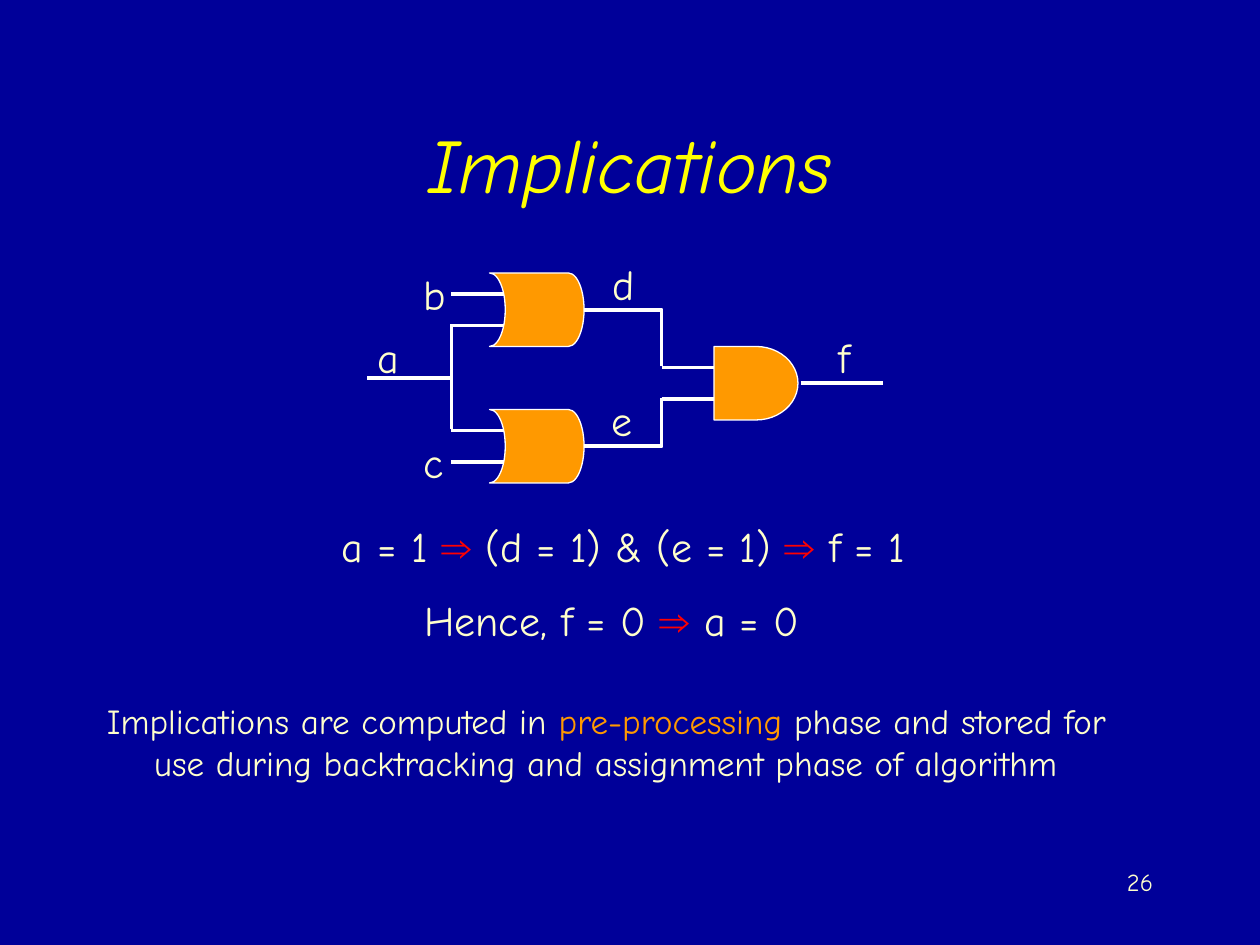
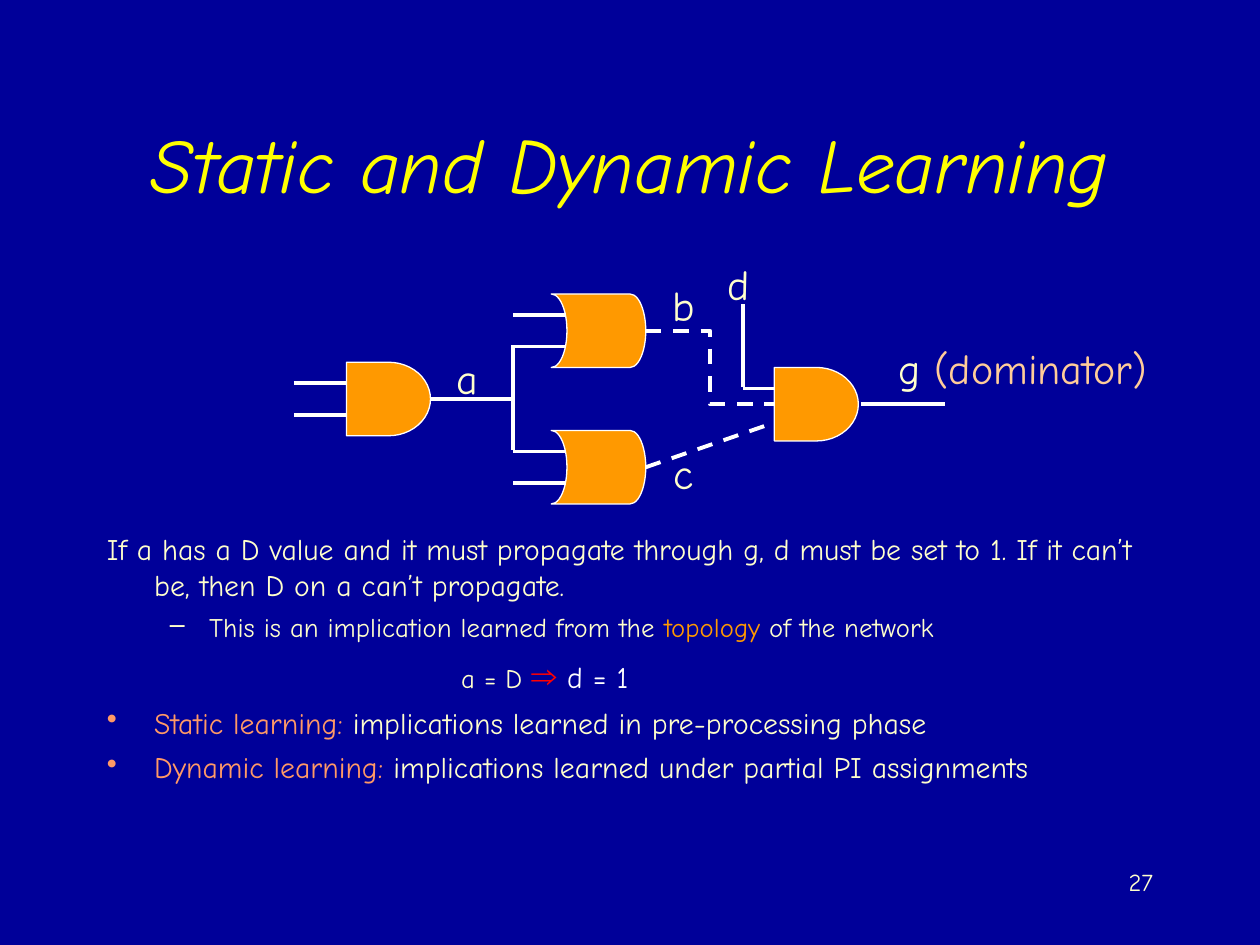
"""Builds two slides on implications and learning in logic circuits."""
from lxml.etree import SubElement
from pptx import Presentation
from pptx.dml.color import RGBColor
from pptx.enum.dml import MSO_LINE
from pptx.enum.shapes import MSO_CONNECTOR, MSO_SHAPE
from pptx.enum.text import MSO_ANCHOR, PP_ALIGN
from pptx.oxml.ns import qn
from pptx.util import Pt

PX = 9525
TITLE_ONLY = 5
FONT = "Comic Neue"
SYMBOL_FONT = "Arial"
COLORS = {
    "background": "000099",
    "title": "FFFF00",
    "text": "FFFFCC",
    "white": "FFFFFF",
    "gate": "FF9900",
    "arrow": "FF0000",
    "term": "FF9966",
    "note": "FFCC99",
}


def color(name):
    return RGBColor.from_string(COLORS[name])


class Deck:
    def __init__(self):
        self.presentation = Presentation()
        self.presentation.slide_width = 960 * PX
        self.presentation.slide_height = 720 * PX
        fill = self.presentation.slide_master.background.fill
        fill.solid()
        fill.fore_color.rgb = color("background")
        self.slide = None

    def place(self, shape, left, top, width, height):
        shape.left, shape.top = left * PX, top * PX
        shape.width, shape.height = width * PX, height * PX

    def add_slide(self, title, number):
        layout = self.presentation.slide_layouts[TITLE_ONLY]
        self.slide = self.presentation.slides.add_slide(layout)
        shape = self.slide.shapes.title
        self.place(shape, 72, 64, 816, 120)
        shape.text_frame.vertical_anchor = MSO_ANCHOR.MIDDLE
        paragraph = shape.text_frame.paragraphs[0]
        paragraph.alignment = PP_ALIGN.CENTER
        self.add_runs(paragraph, [(title, "title")], 44)
        paragraph.runs[0].font.italic = True
        paragraph = self.text_box(688, 656, 200, 48).paragraphs[0]
        paragraph.alignment = PP_ALIGN.RIGHT
        self.add_runs(paragraph, [(number, "text")], 14)

    def add_runs(self, paragraph, pieces, size):
        for text, color_name, *own_size in pieces:
            run = paragraph.add_run()
            run.text = text
            run.font.name = SYMBOL_FONT if "⇒" in text else FONT
            run.font.size = Pt(own_size[0] if own_size else size)
            run.font.color.rgb = color(color_name)

    def text_box(self, left, top, width, height):
        shape = self.slide.shapes.add_textbox(left * PX, top * PX, width * PX, height * PX)
        shape.text_frame.word_wrap = True
        return shape.text_frame

    def label(self, center, top, *pieces, width=36):
        frame = self.text_box(center - width // 2, top, width, 48)
        frame.word_wrap = False
        frame.vertical_anchor = MSO_ANCHOR.MIDDLE
        frame.paragraphs[0].alignment = PP_ALIGN.CENTER
        self.add_runs(frame.paragraphs[0], pieces, 24)

    def body(self, top, height, paragraphs):
        frame = self.text_box(72, top, 816, height)
        for index, (pieces, size, space, margin, indent, bullet) in enumerate(paragraphs):
            paragraph = frame.add_paragraph() if index else frame.paragraphs[0]
            if index:
                paragraph.space_before = Pt(space)
            self.indent(paragraph, margin, indent, bullet)
            self.add_runs(paragraph, pieces, size)

    def indent(self, paragraph, margin, indent, bullet):
        properties = paragraph._p.get_or_add_pPr()
        properties.set("marL", str(margin * PX))
        properties.set("indent", str(indent * PX))
        if bullet:
            character, color_name = bullet
            bullet_color = SubElement(properties, qn("a:buClr"))
            SubElement(bullet_color, qn("a:srgbClr")).set("val", COLORS[color_name])
            SubElement(properties, qn("a:buChar")).set("char", character)

    def wire(self, start, end, dashed=False, turn=None):
        kind = MSO_CONNECTOR.STRAIGHT if turn is None else MSO_CONNECTOR.ELBOW
        points = [value * PX for value in (*start, *end)]
        connector = self.slide.shapes.add_connector(kind, *points)
        connector.line.color.rgb = color("white")
        connector.line.width = Pt(2.25)
        if dashed:
            connector.line.dash_style = MSO_LINE.DASH
        properties = connector._element.spPr
        if turn is not None:
            guide = SubElement(properties.find(".//" + qn("a:avLst")), qn("a:gd"))
            guide.set("name", "adj1")
            guide.set("fmla", f"val {turn * 1000}")
        SubElement(properties, qn("a:effectLst"))

    def gate_body(self, kind, left, top, width):
        shape = self.slide.shapes.add_shape(kind, left * PX, top * PX, width * PX, 56 * PX)
        shape.shadow.inherit = False
        shape.fill.solid()
        shape.fill.fore_color.rgb = color("gate")
        shape.line.color.rgb = color("white")
        shape.line.width = Pt(0.75)
        return shape

    def gate_inputs(self, left, top):
        for y in (top + 16, top + 40):
            self.wire((left, y), (left + 40, y))

    def or_gate(self, left, top):
        shape = self.gate_body(MSO_SHAPE.FLOWCHART_STORED_DATA, left + 29, top, 72)
        shape._element.spPr.find(qn("a:xfrm")).set("flipH", "1")
        self.gate_inputs(left, top)

    def and_gate(self, left, top, inputs=True):
        self.gate_body(MSO_SHAPE.FLOWCHART_DELAY, left + 40, top, 64)
        if inputs:
            self.gate_inputs(left, top)

    def fanout(self, left, top, stem):
        for gate_top in (top, top + 104):
            self.or_gate(left, gate_top)
        self.wire((left, top + 39), (left, top + 119))
        self.wire((left - stem, top + 80), (left, top + 80))


def implications(deck):
    deck.add_slide("Implications", "26")
    deck.fanout(344, 208, 64)
    deck.and_gate(504, 264)
    deck.wire((445, 236), (504, 279), turn=100)
    deck.wire((445, 340), (504, 303), turn=100)
    deck.wire((610, 292), (673, 292))
    for name, center, top in (("a", 296, 248), ("c", 330, 328), ("b", 331, 200),
                              ("d", 475, 192), ("e", 474, 296), ("f", 643, 248)):
        deck.label(center, top, (name, "text"))
    arrow = ("⇒", "arrow")
    deck.label(475, 392, ("a = 1 ", "text"), arrow, (" (d = 1) & (e = 1) ", "text"),
               arrow, (" f = 1", "text"), width=454)
    deck.label(466, 448, ("Hence, f = 0 ", "text"), arrow, (" a = 0", "text"), width=308)
    pieces = [
        ("Implications are computed in ", "text"),
        ("pre-processing", "gate"),
        (" phase and stored for use during backtracking and assignment phase of algorithm", "text"),
    ]
    deck.body(528, 104, [(pieces, 20, 0, 36, -36, None)])


def learning(deck):
    deck.add_slide("Static and Dynamic Learning", "27")
    deck.fanout(391, 224, 65)
    deck.and_gate(224, 276)
    deck.and_gate(550, 280, inputs=False)
    deck.wire((566, 296), (590, 296))
    deck.wire((566, 295), (566, 232))
    deck.wire((656, 308), (720, 308))
    deck.wire((492, 356), (590, 322), dashed=True)
    deck.wire((492, 252), (590, 308), dashed=True, turn=50)
    for name, center, top in (("a", 356, 264), ("b", 521, 208),
                              ("c", 521, 336), ("d", 563, 192)):
        deck.label(center, top, (name, "text"))
    deck.label(779, 256, ("g ", "text"), ("(dominator)", "note"), width=210)
    condition = [("If a has a D value and it must propagate through g, d must be set to 1. "
                  "If it can’t be, then D on a can’t propagate.", "text")]
    source = [("This is an implication learned from the ", "text"),
              ("topology", "gate"), (" of the network", "text")]
    formula = [("a = D ", "text"), ("⇒ ", "arrow", 20.4), ("d = 1", "white", 17)]
    static = [("Static learning:", "term"),
              (" implications learned in pre-processing phase", "text")]
    dynamic = [("Dynamic learning:", "term"),
               (" implications learned under partial PI assignments", "text")]
    deck.body(400, 208, [
        (condition, 17, 0, 36, -36, None),
        (source, 15.3, 4.5, 78, -30, ("–", "text")),
        (formula, 15.3, 6, 270, 0, None),
        (static, 17, 5, 36, -36, ("•", "term")),
        (dynamic, 17, 5, 36, -36, ("•", "term")),
    ])


def main():
    deck = Deck()
    implications(deck)
    learning(deck)
    deck.presentation.save("out.pptx")


if __name__ == "__main__":
    main()
